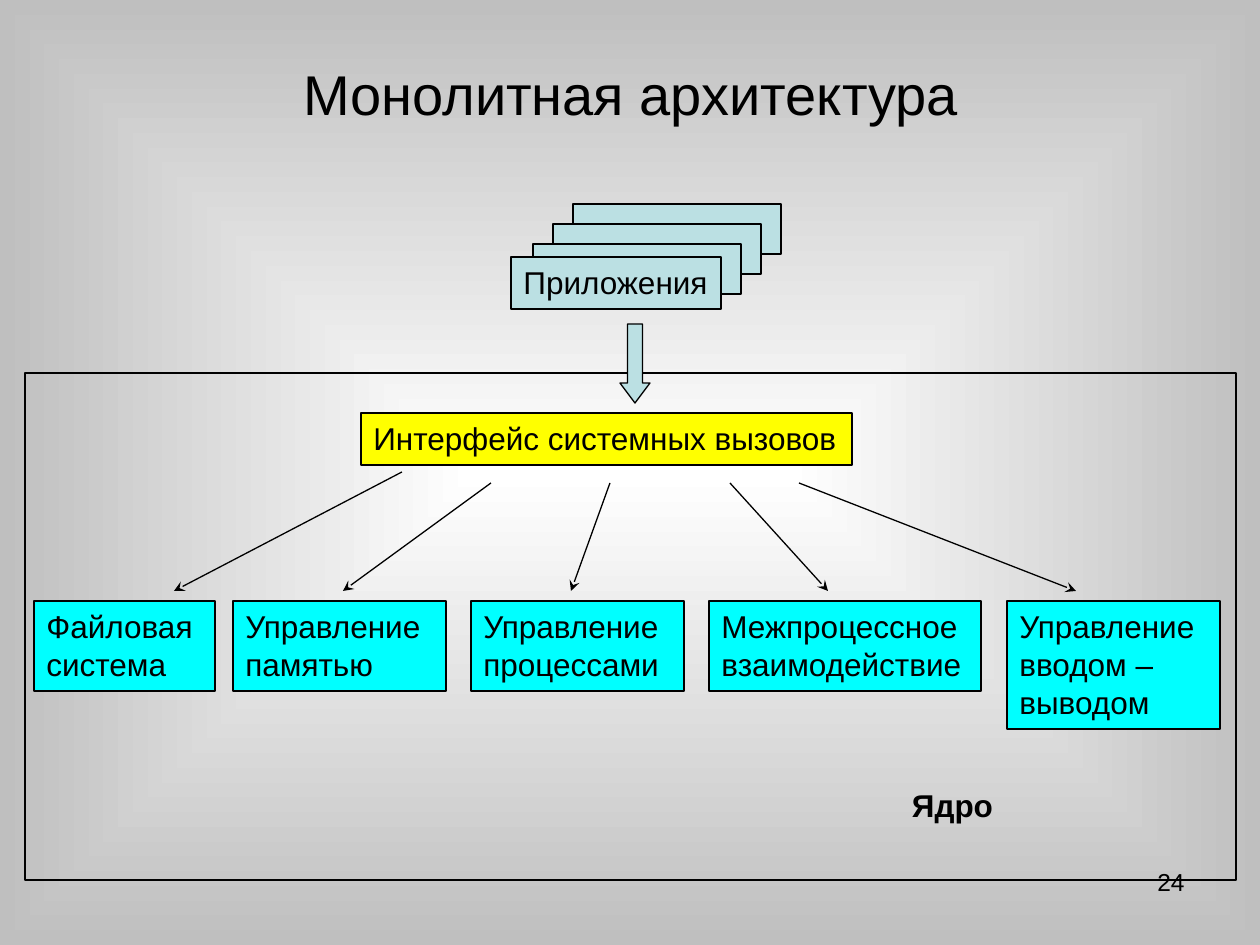
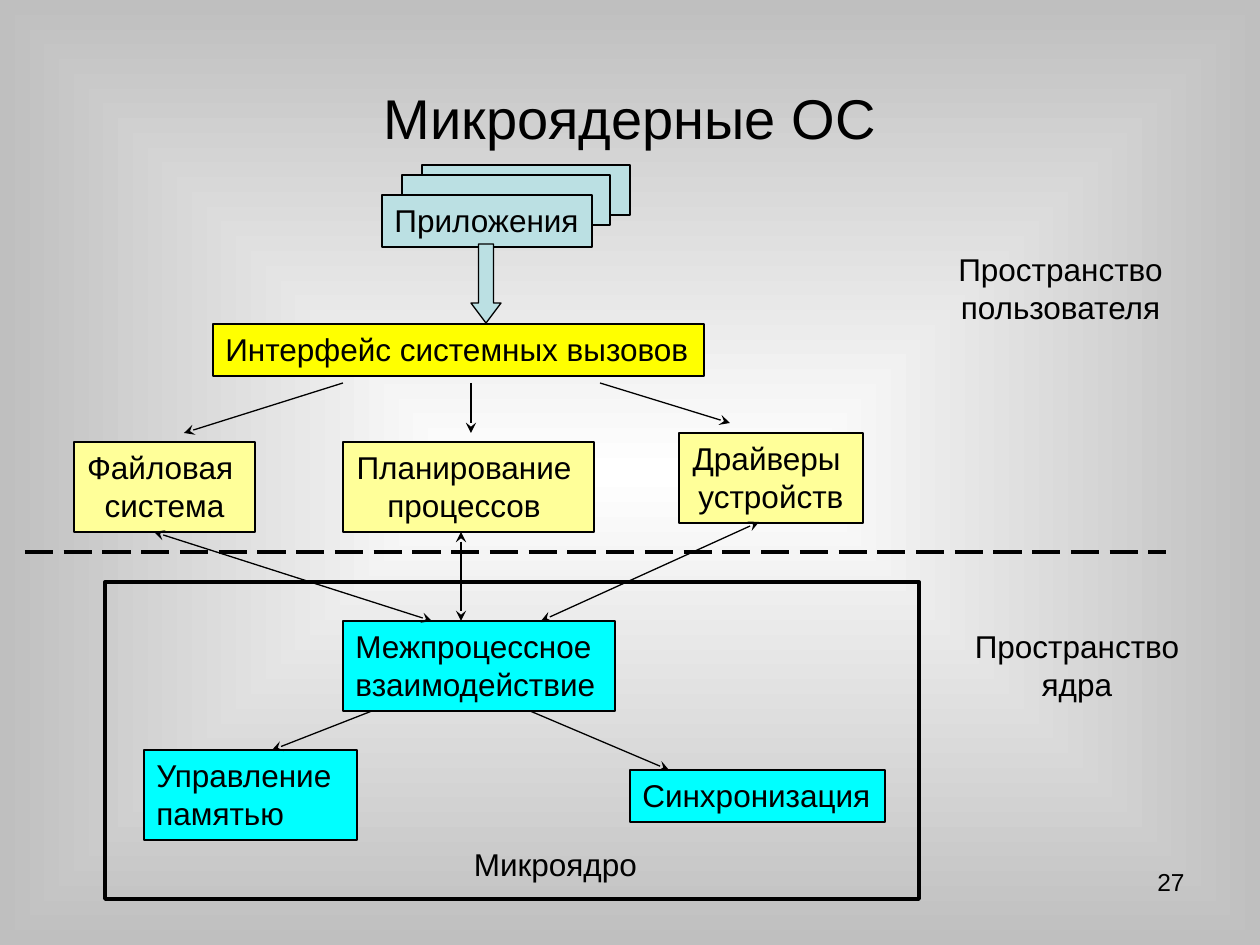
"""Builds two slides that compare monolithic and microkernel operating systems."""
from lxml import etree
from pptx import Presentation
from pptx import util as u
from pptx.dml.color import RGBColor
from pptx.enum import dml, shapes, text
from pptx.oxml.ns import qn

PX = u.Inches(1) / 126
FONT = "Arial"
COLORS = {"ink": "000000", "app": "BBE0E3", "calls": "FFFF00", "kernel": "00FFFF",
          "user": "FFFF99", "glow": "FFFFFF", "edge": "BFBFBF"}
LINE_HEIGHT, BOX_PADDING = 38, 14
CALLS = ["Интерфейс системных вызовов"]
MEMORY = ["Управление ", "памятью"]
IPC = ["Межпроцессное ", "взаимодействие"]
FILES = ["Файловая ", "система"]

SLIDES = [
    {
        "title": ("Монолитная архитектура", (64, 35, 1134, 117)),
        "number": "24",
        "app_stack": [(573, 204), (553, 224), (533, 244)],
        "app": (511, 257),
        "call_arrow": (620, 324),
        "boxes": [
            (CALLS, 361, 413, 491, "calls"),
            (FILES, 34, 601, 181, "kernel"),
            (MEMORY, 233, 601, 213, "kernel"),
            (["Управление ", "процессами "], 471, 601, 213, "kernel"),
            (IPC, 709, 601, 272, "kernel"),
            (["Управление ", "вводом – ", "выводом"], 1007, 601, 213, "kernel"),
        ],
        "frame": ((25, 373, 1211, 507), 0.75),
        "captions": [("Ядро", (819, 780, 267, 50), True)],
        "one_way": [(402, 472, 174, 591), (491, 483, 343, 591), (610, 483, 571, 591),
                    (730, 483, 828, 591), (799, 483, 1076, 591)],
        "two_way": [],
        "borders": [],
    },
    {
        "title": ("Микроядерные ОС", (63, 38, 1134, 158)),
        "number": "27",
        "app_stack": [(422, 165), (402, 175)],
        "app": (382, 195),
        "call_arrow": (471, 244),
        "boxes": [
            (CALLS, 213, 324, 491, "calls"),
            (FILES, 74, 442, 181, "user"),
            (["Планирование ", "процессов "], 343, 442, 251, "user"),
            (["Драйверы ", "устройств"], 679, 433, 184, "user"),
            (IPC, 343, 621, 272, "kernel"),
            (MEMORY, 144, 750, 213, "kernel"),
            (["Синхронизация"], 630, 770, 255, "kernel"),
        ],
        "frame": ((105, 582, 814, 317), 2.25),
        "captions": [
            ("Микроядро", (412, 839, 287, 50), False),
            ("Пространство пользователя", (907, 244, 307, 88), False),
            ("Пространство ядра", (948, 621, 258, 88), False),
        ],
        "one_way": [(343, 383, 184, 433), (471, 383, 471, 433), (600, 383, 730, 423),
                    (372, 711, 272, 750), (530, 711, 669, 770)],
        "two_way": [(154, 532, 432, 621), (461, 532, 461, 621), (759, 522, 541, 621)],
        "borders": [(25, 552, 1166, 552)],
    },
]


def emu(lengths):
    return [u.Emu(round(length * PX)) for length in lengths]


def color(name):
    return RGBColor.from_string(COLORS[name])


def paint_background(slide):
    slide.background.fill.gradient()
    gradient = slide.element.find(".//" + qn("a:gradFill"))
    for child in list(gradient):
        gradient.remove(child)
    stops = etree.SubElement(gradient, qn("a:gsLst"))
    for position, name in (("0", "glow"), ("100000", "edge")):
        stop = etree.SubElement(stops, qn("a:gs"), pos=position)
        etree.SubElement(stop, qn("a:srgbClr"), val=COLORS[name])
    shade = etree.SubElement(gradient, qn("a:path"), path="shape")
    etree.SubElement(shade, qn("a:fillToRect"), l="50000", t="50000", r="50000", b="50000")


def write(frame, lines, size, align, bold=False):
    frame.text = "\n".join(lines)
    for paragraph in frame.paragraphs:
        paragraph.alignment = align
        font = paragraph.font
        font.name, font.size, font.bold = FONT, u.Pt(size), bold
        font.color.rgb = color("ink")


def add_label(slide, words, area, size, align, bold=False, anchor=text.MSO_ANCHOR.TOP):
    frame = slide.shapes.add_textbox(*emu(area)).text_frame
    frame.word_wrap, frame.vertical_anchor = True, anchor
    write(frame, [words], size, align, bold)


def add_outlined(slide, area, fill=None, kind=shapes.MSO_SHAPE.RECTANGLE, width=0.75):
    shape = slide.shapes.add_shape(kind, *emu(area))
    shape.shadow.inherit = False
    if fill:
        shape.fill.solid()
        shape.fill.fore_color.rgb = color(fill)
    else:
        shape.fill.background()
    shape.line.color.rgb, shape.line.width = color("ink"), u.Pt(width)
    return shape


def add_box(slide, lines, left, top, width, fill):
    height = BOX_PADDING + LINE_HEIGHT * len(lines)
    frame = add_outlined(slide, (left, top, width, height), fill).text_frame
    frame.word_wrap, frame.vertical_anchor = False, text.MSO_ANCHOR.TOP
    frame.auto_size = text.MSO_AUTO_SIZE.SHAPE_TO_FIT_TEXT
    write(frame, lines, 18, text.PP_ALIGN.CENTER if fill == "user" else text.PP_ALIGN.LEFT)


def add_line(slide, ends, arrowheads=(), width=0.75, dash=None):
    connector = slide.shapes.add_connector(shapes.MSO_CONNECTOR.STRAIGHT, *emu(ends))
    line = connector.line
    line.color.rgb, line.width = color("ink"), u.Pt(width)
    if dash:
        line.dash_style = dash
    properties = connector.element.spPr
    for end in arrowheads:
        etree.SubElement(properties.find(qn("a:ln")), qn(end), type="stealth")
    etree.SubElement(properties, qn("a:effectLst"))


def build(deck, content):
    slide = deck.slides.add_slide(deck.slide_layouts[6])
    paint_background(slide)
    title, title_area = content["title"]
    add_label(slide, title, title_area, 32, text.PP_ALIGN.CENTER, anchor=text.MSO_ANCHOR.MIDDLE)
    for corner in content["app_stack"]:
        add_outlined(slide, (*corner, 208, 50), "app")
    add_box(slide, ["Приложения"], *content["app"], 210, "app")
    for box in content["boxes"]:
        add_box(slide, *box)
    frame_area, frame_width = content["frame"]
    add_outlined(slide, frame_area, width=frame_width)
    call_arrow = add_outlined(slide, (*content["call_arrow"], 30, 79), "app",
                              shapes.MSO_SHAPE.DOWN_ARROW)
    call_arrow.adjustments[0], call_arrow.adjustments[1] = 0.5, 0.665
    for ends in content["one_way"]:
        add_line(slide, ends, ["a:tailEnd"])
    for ends in content["borders"]:
        add_line(slide, ends, width=2, dash=dml.MSO_LINE.LONG_DASH)
    for ends in content["two_way"]:
        add_line(slide, ends, ["a:headEnd", "a:tailEnd"])
    for words, area, bold in content["captions"]:
        add_label(slide, words, area, 18, text.PP_ALIGN.CENTER, bold)
    add_label(slide, content["number"], (903, 861, 294, 66), 14, text.PP_ALIGN.RIGHT)


deck = Presentation()
deck.slide_width, deck.slide_height = emu((1260, 945))
for content in SLIDES:
    build(deck, content)
deck.save("out.pptx")
